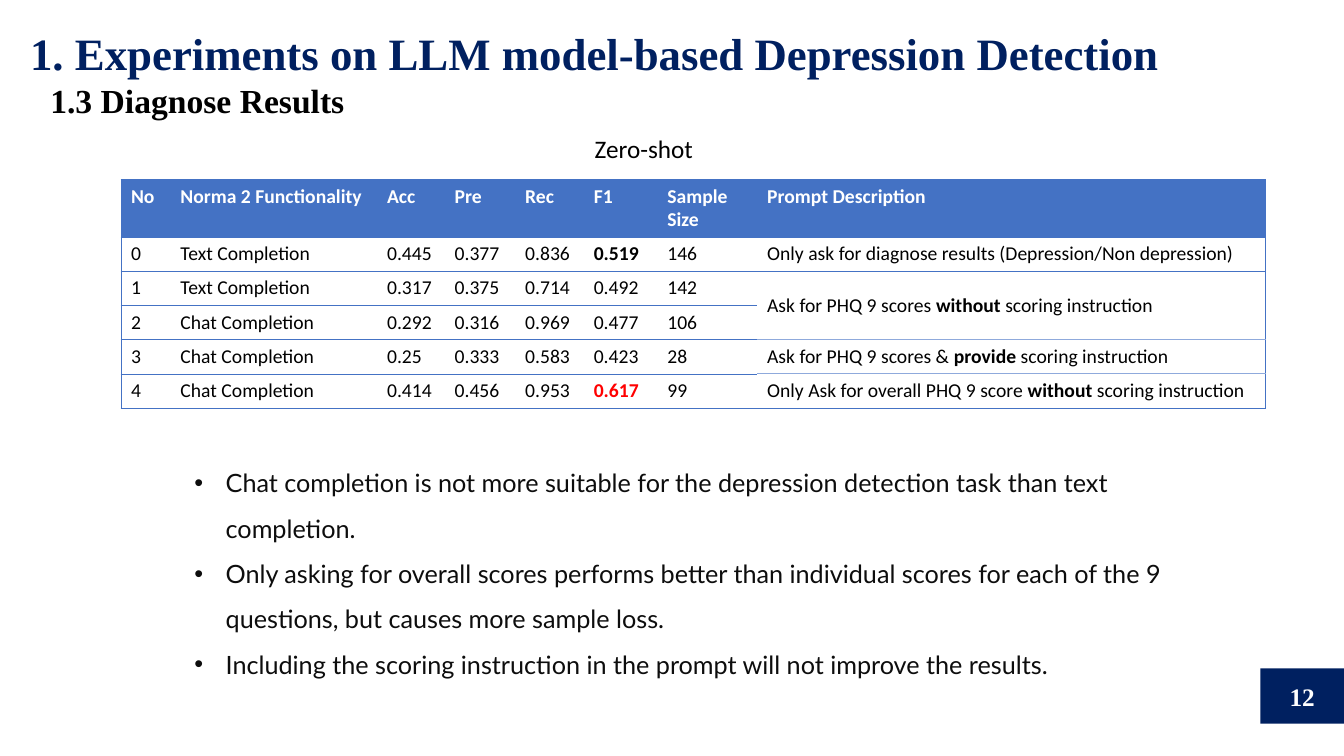
"""Build the slide with the zero-shot diagnosis results."""
from lxml.etree import SubElement
from pptx import Presentation
from pptx.dml.color import RGBColor
from pptx.enum.shapes import MSO_SHAPE as Shape
from pptx.enum.text import MSO_ANCHOR as Anchor, MSO_AUTO_SIZE as AutoSize, PP_ALIGN as Align
from pptx.oxml.ns import qn
from pptx.util import Inches, Pt

NAVY, BLUE, LIGHT_BLUE = "002060", "4472C4", "8FAADC"
BLACK, WHITE, RED = "000000", "FFFFFF", "FF0000"
SERIF = "Times New Roman"


def color(value):
    return RGBColor.from_string(value)


def write(paragraph, text, size, font_name, text_color):
    """Add runs to a paragraph; parts between ** are bold."""
    for index, part in enumerate(text.split("**")):
        if part:
            run = paragraph.add_run()
            run.text = part
            values = {"size": Pt(size), "name": font_name, "bold": index % 2 == 1}
            for name, value in values.items():
                setattr(run.font, name, value)
            run.font.color.rgb = color(text_color)


presentation = Presentation()
presentation.slide_width = Inches(13.33)
presentation.slide_height = Inches(7.5)
slide = presentation.slides.add_slide(presentation.slide_layouts[6])

fit = AutoSize.SHAPE_TO_FIT_TEXT
headings = [
    ((0.4, 0.74, 3.15, 0.5), "**1.3 Diagnose Results**", 24, SERIF, BLACK,
     {"word_wrap": False, "auto_size": fit}),
    ((0.2, 0.15, 14.15, 0.45), "**1. Experiments on LLM model-based Depression Detection**",
     32, SERIF, NAVY, {"word_wrap": True, "margin_top": Inches(0.1)}),
    ((5.8, 1.27, 1.18, 0.4), "Zero-shot", 18, "Calibri", BLACK,
     {"word_wrap": False, "auto_size": fit}),
]
for box, text, size, font_name, text_color, frame_format in headings:
    frame = slide.shapes.add_textbox(*map(Inches, box)).text_frame
    for name, value in frame_format.items():
        setattr(frame, name, value)
    write(frame.paragraphs[0], text, size, font_name, text_color)

page_badge = slide.shapes.add_shape(
    Shape.RECTANGLE, Inches(12.5), Inches(6.63), Inches(0.83), Inches(0.55))
page_badge.shadow.inherit = False
page_badge.fill.solid()
page_badge.fill.fore_color.rgb = color(NAVY)
page_badge.line.fill.background()
page_badge.text_frame.vertical_anchor = Anchor.MIDDLE
page_paragraph = page_badge.text_frame.paragraphs[0]
page_paragraph.alignment = Align.CENTER
write(page_paragraph, "**12**", 18, SERIF, WHITE)

findings = [
    "Chat completion is not more suitable for the depression detection task than text completion.",
    "Only asking for overall scores performs better than individual scores for each of the 9 "
    "questions, but causes more sample loss.",
    "Including the scoring instruction in the prompt will not improve the results.",
]
frame = slide.shapes.add_textbox(
    Inches(1.83), Inches(4.44), Inches(10.11), Inches(1.87)).text_frame
frame.word_wrap = True
frame.auto_size = fit
for index, finding in enumerate(findings):
    paragraph = frame.add_paragraph() if index else frame.paragraphs[0]
    paragraph.line_spacing = 1.5
    properties = paragraph._p.get_or_add_pPr()
    properties.set("marL", str(Inches(0.31)))
    properties.set("indent", str(-Inches(0.31)))
    SubElement(properties, qn("a:buFont"), typeface="Arial")
    SubElement(properties, qn("a:buChar"), char="•")
    write(paragraph, finding, 18, "Lato", "0D0D0D")

rows = [
    ["No", "Norma 2 Functionality", "Acc", "Pre", "Rec", "F1", "Sample Size",
     "Prompt Description"],
    ["0", "Text Completion", "0.445", "0.377", "0.836", "**0.519**", "146",
     "Only ask for diagnose results (Depression/Non depression)"],
    ["1", "Text Completion", "0.317", "0.375", "0.714", "0.492", "142",
     "Ask for PHQ 9 scores **without **scoring instruction"],
    ["2", "Chat Completion", "0.292", "0.316", "0.969", "0.477", "106", ""],
    ["3", "Chat Completion", "0.25", "0.333", "0.583", "0.423", "28",
     "Ask for PHQ 9 scores & **provide** scoring instruction"],
    ["4", "Chat Completion", "0.414", "0.456", "0.953", "**0.617**", "99",
     "Only Ask for overall PHQ 9 score **without **scoring instruction"],
]
column_widths = [0.49, 2.05, 0.67, 0.7, 0.68, 0.73, 0.99, 5.04]
row_heights = [0.57] + [0.34] * 5
last_column = len(column_widths) - 1
table = slide.shapes.add_table(
    len(rows), len(column_widths), Inches(1.2), Inches(1.78),
    Inches(sum(column_widths)), Inches(sum(row_heights))).table
table.horz_banding = False
for column, width in zip(table.columns, column_widths):
    column.width = Inches(width)
for row, height in zip(table.rows, row_heights):
    row.height = Inches(height)
table.cell(2, last_column).merge(table.cell(3, last_column))

outer_line = (BLUE, 0.5)
special_lines = {(3, last_column): None, (4, last_column): (LIGHT_BLUE, 0.75),
                 (5, last_column): (LIGHT_BLUE, 0.75)}
for row_index, values in enumerate(rows):
    for column_index, text in enumerate(values):
        cell = table.cell(row_index, column_index)
        borders = {
            "a:lnL": outer_line if column_index == 0 else None,
            "a:lnR": outer_line if column_index == last_column else None,
            "a:lnT": special_lines.get((row_index, column_index), outer_line),
            "a:lnB": special_lines.get((row_index + 1, column_index), outer_line),
        }
        cell_properties = cell._tc.get_or_add_tcPr()
        for tag, border in borders.items():
            line = SubElement(cell_properties, qn(tag))
            if border:
                line.set("w", str(Pt(border[1])))
                SubElement(SubElement(line, qn("a:solidFill")), qn("a:srgbClr"), val=border[0])
            else:
                SubElement(line, qn("a:noFill"))
        header = row_index == 0
        cell.fill.solid()
        cell.fill.fore_color.rgb = color(BLUE if header else WHITE)
        cell.vertical_anchor = Anchor.TOP if header else Anchor.MIDDLE
        text_color = WHITE if header else RED if text == "**0.617**" else BLACK
        write(cell.text_frame.paragraphs[0], f"**{text}**" if header else text,
              14, "Calibri", text_color)

presentation.save("out.pptx")
